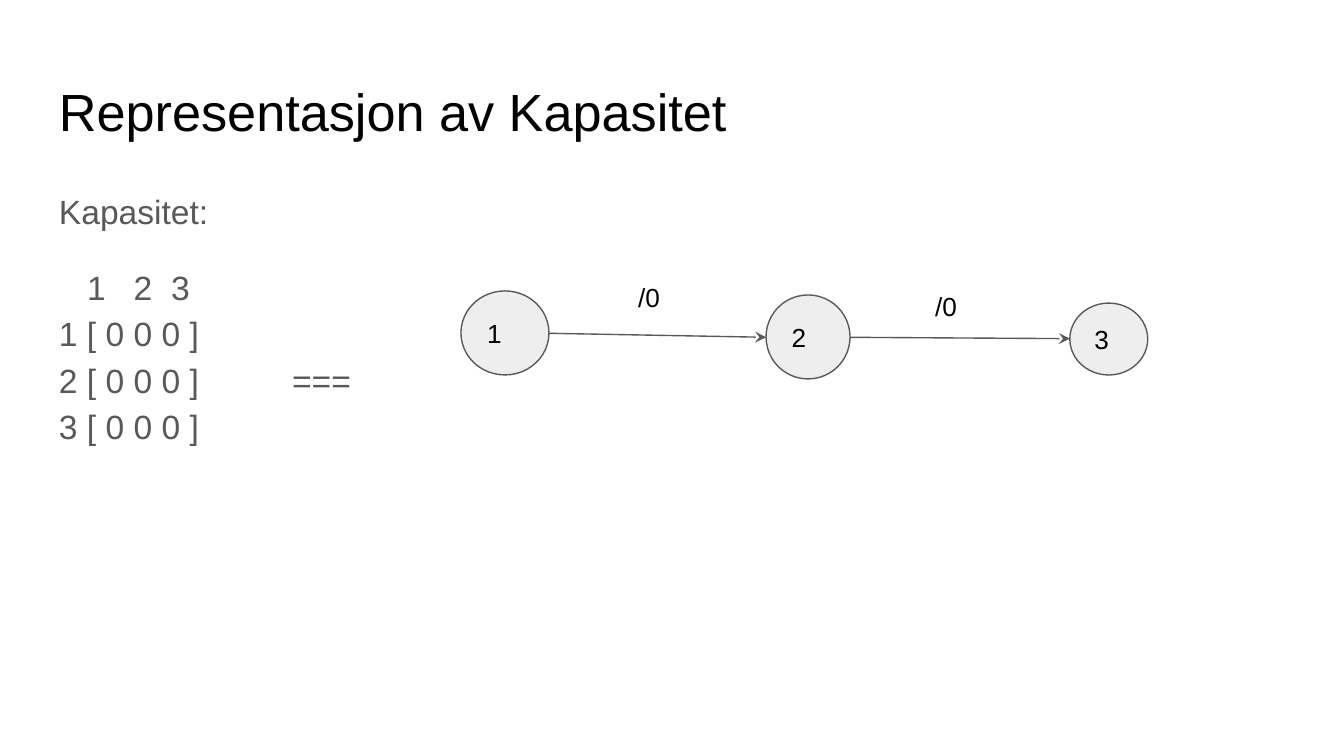
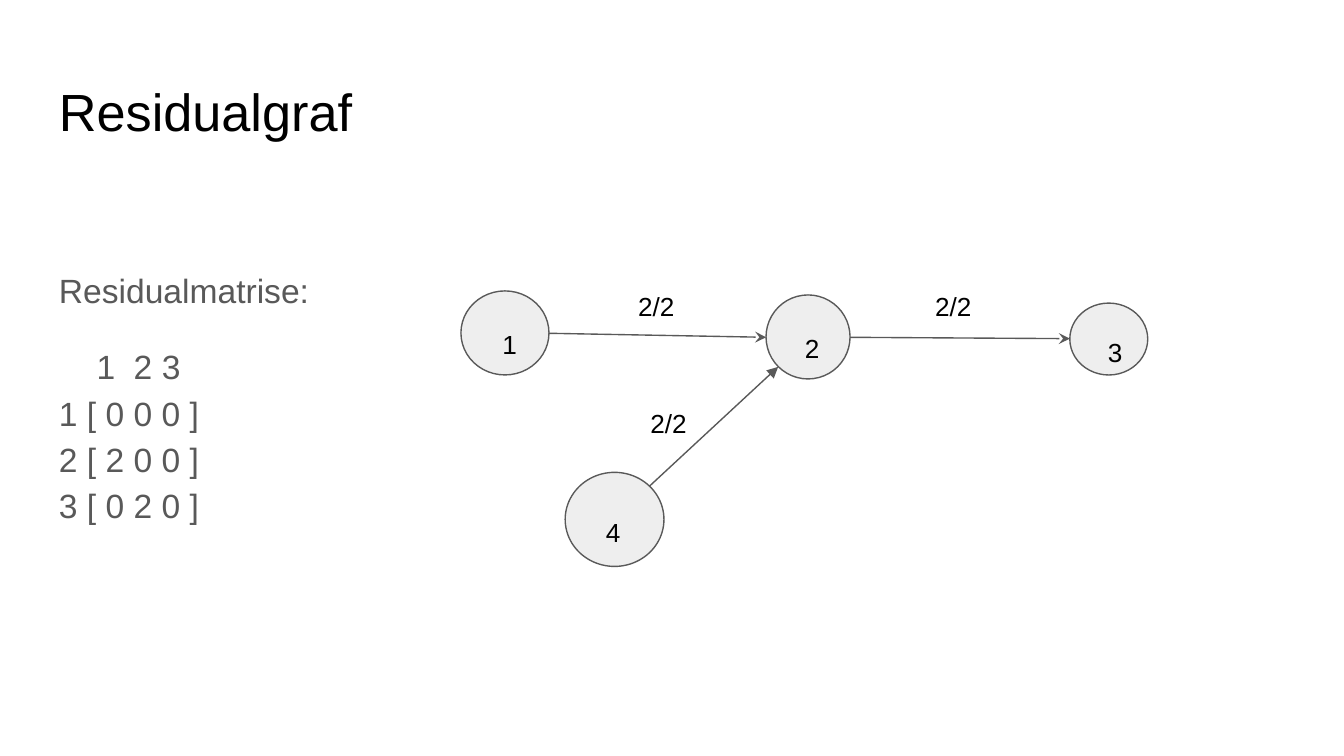
import pptx
import pptx.dml.color
import pptx.enum.shapes
import pptx.enum.text
import pptx.oxml
import pptx.oxml.ns
import pptx.util
from lxml import etree

PX = 4572  # 200 px to the inch
FONT = "Arial"
BLACK, GRAY, NODE_FILL = "000000", "595959", "EEEEEE"


def color(hex_value):
    return pptx.dml.color.RGBColor.from_string(hex_value)


def write_text(shape, *texts, size=14, text_color=BLACK, line_spacing=None,
               space_before=0, tab_stops=(), anchor="TOP"):
    frame = shape.text_frame
    frame.word_wrap = True
    frame.vertical_anchor = pptx.enum.text.MSO_ANCHOR[anchor]
    frame.margin_left = frame.margin_right = 20 * PX
    frame.margin_top = frame.margin_bottom = 20 * PX
    for index, text in enumerate(texts):
        paragraph = frame.add_paragraph() if index else frame.paragraphs[0]
        paragraph.text = text
        paragraph.alignment = pptx.enum.text.PP_ALIGN.LEFT
        if line_spacing:
            paragraph.line_spacing = line_spacing
        if index:
            paragraph.space_before = pptx.util.Pt(space_before)
        if "\t" in text:
            properties = paragraph._p.get_or_add_pPr()
            tab_list = etree.SubElement(properties, pptx.oxml.ns.qn("a:tabLst"))
            for stop in tab_stops:
                etree.SubElement(tab_list, pptx.oxml.ns.qn("a:tab"),
                                 pos=str(stop * PX), algn="l")
        for run in paragraph.runs:
            run.font.name = FONT
            run.font.size = pptx.util.Pt(size)
            run.font.color.rgb = color(text_color)


# Nodes shared by both graphs, and the edges 1-2 and 2-3
chain_nodes = [("1", 686, 433, 131, 125), ("2", 1140, 439, 125, 125),
               ("3", 1592, 451, 116, 107)]
chain_edges = [(817, 496, 1140, 502, "stealth"), (1265, 502, 1592, 504, "stealth")]

slides = [
    {
        "title": "Representasjon av Kapasitet",
        "matrix_top": 255,
        "matrix": ["Kapasitet:",
                   "\t1\t2\t3\n1 [ 0 0 0 ]\n2 [ 0 0 0 ]\t===\n3 [ 0 0 0 ]"],
        "tab_stops": [42, 111, 167, 347],
        "nodes": chain_nodes,
        "edges": chain_edges,
        "labels": [("/0", 930, 399, 100, 68), ("/0", 1372, 412, 76, 68)],
    },
    {
        "title": "Residualgraf",
        "matrix_top": 373,
        "matrix": ["Residualmatrise:",
                   "\t1\t2\t3\n1 [ 0 0 0 ]\n2 [ 2 0 0 ]\n3 [ 0 2 0 ]"],
        "tab_stops": [56, 111, 153],
        "nodes": [(None, *box) for _, *box in chain_nodes] + [(None, 841, 703, 147, 140)],
        "edges": chain_edges + [(966, 724, 1158, 546, "triangle")],
        "labels": [("2/2", 930, 412, 100, 68), ("2/2", 1372, 412, 146, 68),
                   ("4", 882, 749, 60, 68), ("1", 728, 469, 50, 56),
                   ("2", 1178, 475, 42, 56), ("3", 1629, 481, 50, 44),
                   ("2/2", 948, 586, 100, 44)],
    },
]

presentation = pptx.Presentation()
presentation.slide_width = 2000 * PX
presentation.slide_height = 1125 * PX

for content in slides:
    slide = presentation.slides.add_slide(presentation.slide_layouts[6])

    # Title and matrix
    title = slide.shapes.add_textbox(68 * PX, 98 * PX, 1864 * PX, 126 * PX)
    write_text(title, content["title"], size=28)
    top = content["matrix_top"]
    matrix = slide.shapes.add_textbox(68 * PX, top * PX, 1864 * PX, (1009 - top) * PX)
    write_text(matrix, *content["matrix"], size=18, text_color=GRAY, line_spacing=1.15,
               space_before=16, tab_stops=content["tab_stops"])

    # Graph nodes
    for name, left, top, width, height in content["nodes"]:
        node = slide.shapes.add_shape(pptx.enum.shapes.MSO_SHAPE.OVAL,
                                      left * PX, top * PX, width * PX, height * PX)
        node.shadow.inherit = False
        node.fill.solid()
        node.fill.fore_color.rgb = color(NODE_FILL)
        node.line.color.rgb = color(GRAY)
        node.line.width = pptx.util.Pt(0.75)
        if name:
            write_text(node, name, anchor="MIDDLE")

    # Graph edges
    for start_x, start_y, end_x, end_y, arrowhead in content["edges"]:
        edge = slide.shapes.add_connector(pptx.enum.shapes.MSO_CONNECTOR.STRAIGHT,
                                          start_x * PX, start_y * PX, end_x * PX, end_y * PX)
        edge.line.color.rgb = color(GRAY)
        edge.line.width = pptx.util.Pt(0.75)
        etree.SubElement(edge.line._get_or_add_ln(), pptx.oxml.ns.qn("a:tailEnd"),
                         type=arrowhead, w="med", len="med")
        etree.SubElement(edge._element.spPr, pptx.oxml.ns.qn("a:effectLst"))

    # Labels
    for text, left, top, width, height in content["labels"]:
        label = slide.shapes.add_textbox(left * PX, top * PX, width * PX, height * PX)
        write_text(label, text)

presentation.save("out.pptx")
